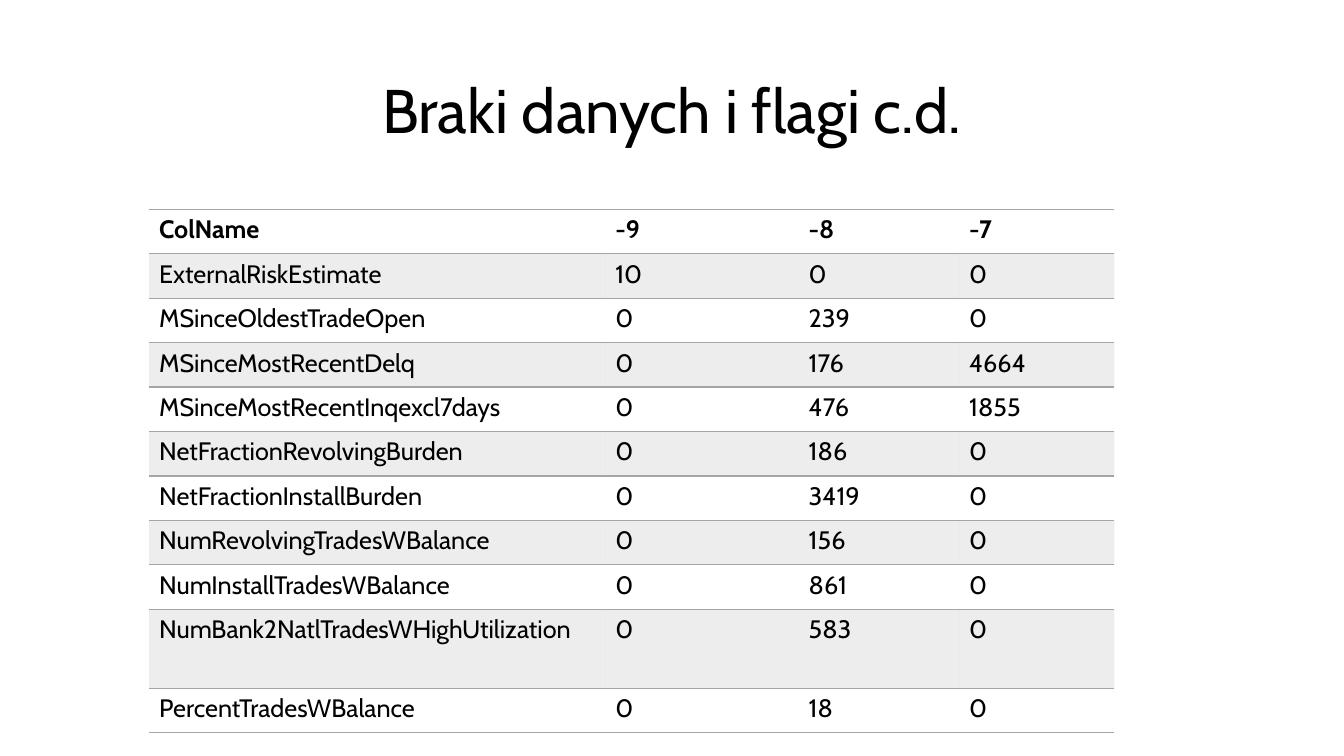
"""Build the slide that counts missing-data flags per column."""
import lxml.etree
import pptx
import pptx.dml.color
import pptx.enum.text
import pptx.oxml.ns
import pptx.util

Pt = pptx.util.Pt
FONT = "Cabin"
BLACK = "000000"
GRAY = "A5A5A5"
COLUMN_WIDTHS = (325.8, 138.2, 114.6, 111)
ROW_HEIGHT = 31.75
TALL_ROW_HEIGHT = 56.3
TALL_ROW = "NumBank2NatlTradesWHighUtilization"
FLAG_COUNTS = [
    ("ColName", "-9", "-8", "-7"),
    ("ExternalRiskEstimate", "10", "0", "0"),
    ("MSinceOldestTradeOpen", "0", "239", "0"),
    ("MSinceMostRecentDelq", "0", "176", "4664"),
    ("MSinceMostRecentInqexcl7days", "0", "476", "1855"),
    ("NetFractionRevolvingBurden", "0", "186", "0"),
    ("NetFractionInstallBurden", "0", "3419", "0"),
    ("NumRevolvingTradesWBalance", "0", "156", "0"),
    ("NumInstallTradesWBalance", "0", "861", "0"),
    (TALL_ROW, "0", "583", "0"),
    ("PercentTradesWBalance", "0", "18", "0"),
]


def color(hex_code):
    """Turn a hex string into a colour."""
    return pptx.dml.color.RGBColor.from_string(hex_code)


def add_run(paragraph, text, size, bold=False):
    """Append one formatted run."""
    run = paragraph.add_run()
    run.text = text
    run.font.name = FONT
    run.font.size = Pt(size)
    run.font.bold = bold
    run.font.color.rgb = color(BLACK)


def add_child(parent, tag, **attributes):
    """Append an XML element with attributes and return it."""
    child = lxml.etree.SubElement(parent, pptx.oxml.ns.qn(tag))
    for name, value in attributes.items():
        child.set(name, str(value))
    return child


def rule_cell(cell):
    """Draw gray lines above and below a cell and none at its sides."""
    properties = cell._tc.get_or_add_tcPr()
    for position, side in enumerate(("L", "R", "T", "B")):
        border = add_child(properties, f"a:ln{side}", w=Pt(1))
        if side in "TB":
            add_child(add_child(border, "a:solidFill"), "a:srgbClr", val=GRAY)
        else:
            add_child(border, "a:noFill")
        properties.insert(position, border)


def shade_cell(cell, shaded):
    """Fill a cell with translucent gray, or leave it clear."""
    if not shaded:
        cell.fill.background()
        return
    cell.fill.solid()
    cell.fill.fore_color.rgb = color(GRAY)
    tint = cell._tc.tcPr.find(".//" + pptx.oxml.ns.qn("a:srgbClr"))
    add_child(tint, "a:alpha", val=20000)


def set_title(slide, text):
    """Place and fill the title placeholder."""
    title = slide.shapes.title
    title.left, title.top = Pt(66), Pt(28.75)
    title.width, title.height = Pt(828), Pt(104.4)
    title.text_frame.word_wrap = True
    title.text_frame.vertical_anchor = pptx.enum.text.MSO_ANCHOR.MIDDLE
    heading = title.text_frame.paragraphs[0]
    heading.alignment = pptx.enum.text.PP_ALIGN.CENTER
    heading.line_spacing = 0.9
    add_run(heading, text, 44)


def add_flag_table(slide, records):
    """Add the table with a bold header and shaded alternate rows."""
    heights = [TALL_ROW_HEIGHT if record[0] == TALL_ROW else ROW_HEIGHT
               for record in records]
    table = slide.shapes.add_table(
        len(records), len(COLUMN_WIDTHS), Pt(106.5), Pt(149.5),
        Pt(sum(COLUMN_WIDTHS)), Pt(sum(heights))).table
    table.first_row = False
    table.horz_banding = False
    for column, width in zip(table.columns, COLUMN_WIDTHS):
        column.width = Pt(width)
    for index, (row, record) in enumerate(zip(table.rows, records)):
        row.height = Pt(heights[index])
        for cell, text in zip(row.cells, record):
            add_run(cell.text_frame.paragraphs[0], text, 18, bold=index == 0)
            shade_cell(cell, index % 2 == 1)
            rule_cell(cell)


def main():
    """Create and save the presentation."""
    presentation = pptx.Presentation()
    presentation.slide_width, presentation.slide_height = Pt(960), Pt(540)
    slide = presentation.slides.add_slide(presentation.slide_layouts[5])
    set_title(slide, "Braki danych i flagi c.d.")
    add_flag_table(slide, FLAG_COUNTS)
    presentation.save("out.pptx")


if __name__ == "__main__":
    main()
